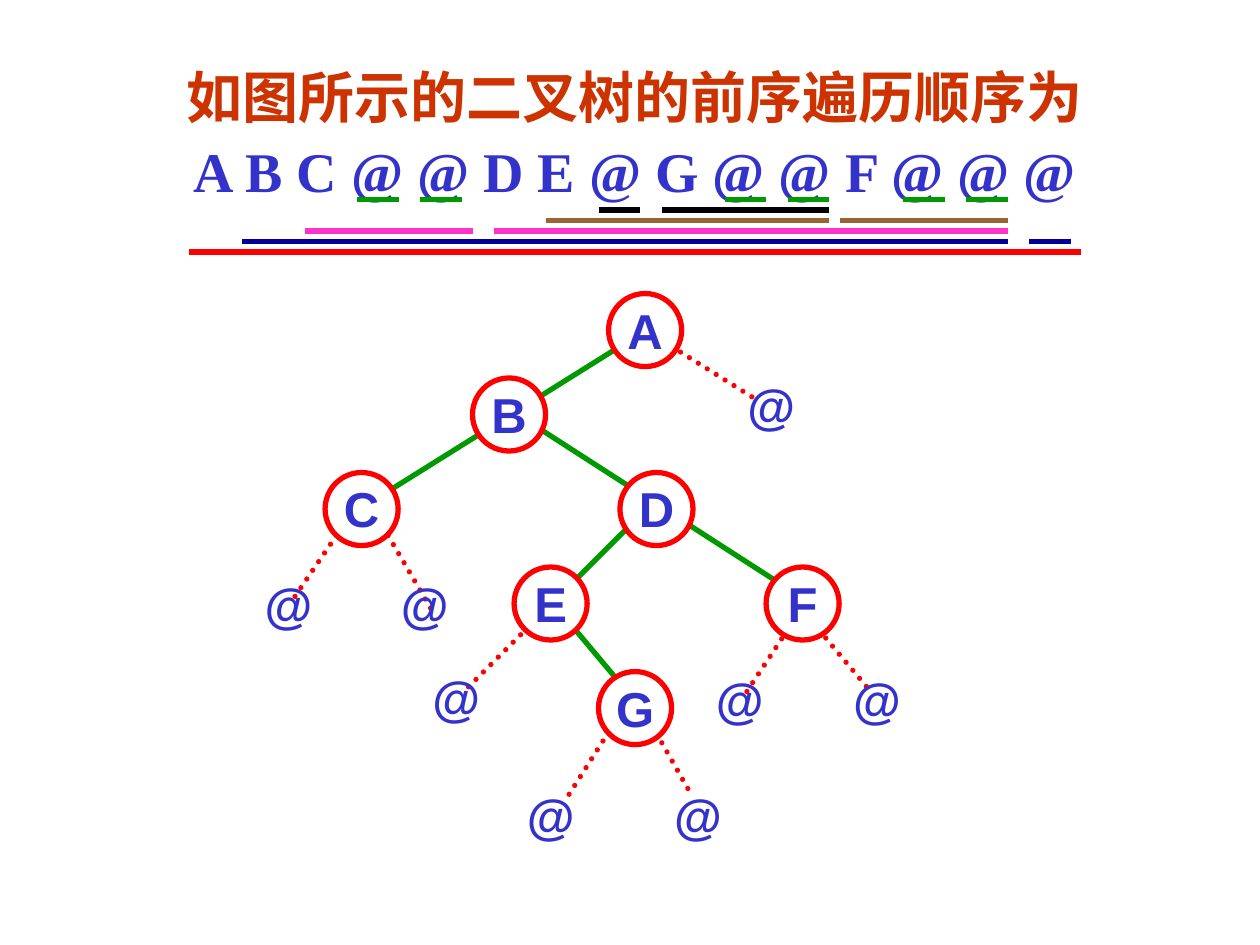
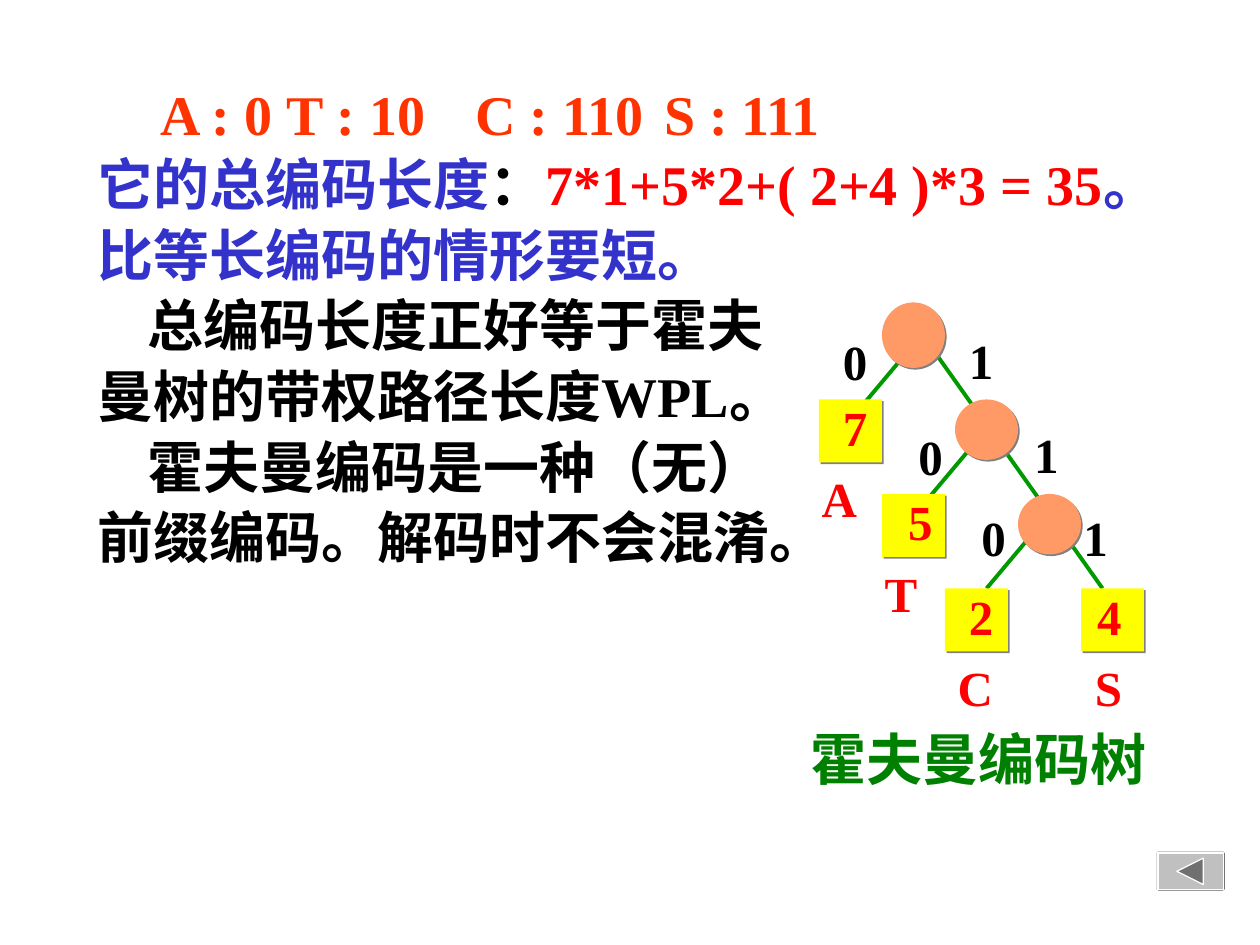
from lxml import etree
from pptx import Presentation
from pptx.dml.color import RGBColor
from pptx.enum.dml import MSO_LINE
from pptx.enum.shapes import MSO_CONNECTOR, MSO_SHAPE
from pptx.enum.text import MSO_ANCHOR, MSO_AUTO_SIZE, PP_ALIGN
from pptx.oxml.ns import qn
from pptx.util import Inches, Pt

OVAL, RECT = MSO_SHAPE.OVAL, MSO_SHAPE.RECTANGLE
BEVEL, WEDGE = MSO_SHAPE.BEVEL, MSO_SHAPE.ISOSCELES_TRIANGLE
LEFT, MID = PP_ALIGN.LEFT, PP_ALIGN.CENTER
TOP, CENTER = MSO_ANCHOR.TOP, MSO_ANCHOR.MIDDLE
GROW, DOTS = MSO_AUTO_SIZE.SHAPE_TO_FIT_TEXT, MSO_LINE.ROUND_DOT
STRAIGHT = MSO_CONNECTOR.STRAIGHT


class Theme:
    serif, sans = "Times New Roman", "Arial"
    big, small = 32, 28
    thick, thin, hair = 3, 2.25, 0.75
    blue, red, green, black = "3333CC", "FF0000", "009900", "000000"
    brick, flame, leaf = "CC3300", "FF3300", "008000"
    navy, pink, brown = "000099", "FF33CC", "996633"
    white, peach, gold = "FFFFFF", "FF9966", "FFFF00"
    shade, silver, dark = "808080", "C0C0C0", "707070"


HEAD = [
    [("如图所示的二叉树的前序遍历顺序为", Theme.brick)],
    [("A B C @ @ D E @ G @ @ F @ @ @", Theme.blue)],
]
NODES = {
    "A": (4.83, 2.33), "B": (3.75, 3), "C": (2.58, 3.75), "D": (4.92, 3.75),
    "E": (4.08, 4.5), "F": (6.08, 4.5), "G": (4.75, 5.33),
}
NULLS = [
    (2, 4.51), (3.08, 4.51), (3.33, 5.25), (4.08, 6.18),
    (5.25, 6.18), (5.58, 5.26), (6.67, 5.26), (5.83, 2.93),
]
DOTTED = [
    (4.25, 4.92, 3.67, 5.5), (4.92, 5.67, 4.5, 6.33), (5.17, 5.75, 5.5, 6.33),
    (2.67, 4.25, 2.33, 4.75), (3.08, 4.25, 3.42, 4.83), (6.5, 5, 6.92, 5.5),
    (5.33, 2.75, 6, 3.17), (6.25, 5, 5.92, 5.5),
]
SOLID = [
    (4.5, 4.92, 4.92, 5.42), (5, 4.17, 4.42, 4.75),
    (4.17, 3.33, 6.25, 4.67), (4.92, 2.75, 2.92, 4),
]
SPANS = [
    (Theme.green, [(2.83, 3.17), (3.33, 3.67), (5.75, 6.08),
                   (6.25, 6.58), (7.17, 7.5), (7.67, 8)]),
    (Theme.black, [(4.75, 5.08), (5.25, 6.58)]),
    (Theme.brown, [(4.33, 6.58), (6.67, 8)]),
    (Theme.pink, [(2.42, 3.75), (3.92, 8)]),
    (Theme.navy, [(1.92, 8), (8.17, 8.5)]),
    (Theme.red, [(1.5, 8.58)]),
]

CODES = [("\tA : 0\tT : 10\tC : 110\tS : 111", Theme.flame)]
STOPS = [1.44, 2.79, 4.45, 6.23]
TOTAL = [
    ("它的总编码长度", Theme.blue), ("：", Theme.black),
    ("7*1+5*2+( 2+4 )*3 = 35", Theme.red),
    ("。比等长编码的情形要短。", Theme.blue),
]
NOTES = [
    ("总编码长度正好等于霍夫", 0.4), ("曼树的带权路径长度WPL。", 0),
    ("霍夫曼编码是一种（无）", 0.4), ("前缀编码。解码时不会混淆。", 0),
]
NAME = [[("霍夫曼编码树", Theme.leaf)]]
EDGES = [
    (7.17, 2.83, 6.75, 3.33), (7.75, 3.5, 7.33, 4),
    (8.25, 4.17, 7.83, 4.67), (7.33, 2.67, 8.75, 4.67),
]
FORKS = [(7, 2.4, 0.52), (7.58, 3.17, 0.48), (8.08, 3.92, 0.48)]
BITS = [
    ("0", 6.59, 2.58), ("0", 7.19, 3.33), ("0", 7.69, 3.98),
    ("1", 7.59, 2.57), ("1", 8.11, 3.32), ("1", 8.5, 3.98),
]
LEAVES = [
    ("7", "A", 6.5, 3.17, 6.59, 6.42, 0.48),
    ("5", "T", 7, 3.92, 7.11, 6.92, 0.46),
    ("2", "C", 7.5, 4.67, 7.59, 7.5, 0.48),
    ("4", "S", 8.58, 4.67, 8.61, 8.59, 0.41),
]


def rgb(code):
    return RGBColor.from_string(code)


def put(shape, x, y, w, h):
    shape.left, shape.top = Inches(x), Inches(y)
    shape.width, shape.height = Inches(w), Inches(h)


def write(para, runs, size, font=Theme.serif):
    for text, color in runs:
        run = para.add_run()
        run.text = text
        run.font.name, run.font.size, run.font.bold = font, Pt(size), True
        run.font.color.rgb = rgb(color)


def fit(frame, anchor, wrap=True):
    frame.word_wrap, frame.auto_size = wrap, GROW
    frame.vertical_anchor = anchor


def lines(frame, paras, align, space=1):
    for i, runs in enumerate(paras):
        para = frame.add_paragraph() if i else frame.paragraphs[0]
        para.alignment, para.line_spacing = align, space
        para.space_before = Pt(0)
        write(para, runs, Theme.big)


def label(slide, text, color, x, y, w, font=Theme.serif):
    box = slide.shapes.add_textbox(Inches(x), Inches(y), Inches(w), Inches(0.57))
    fit(box.text_frame, CENTER, False)
    para = box.text_frame.paragraphs[0]
    para.alignment = MID
    write(para, [(text, color)], Theme.small, font)


def stroke(slide, ends, color, width, dash=None):
    line = slide.shapes.add_connector(STRAIGHT, *map(Inches, ends))
    line.line.color.rgb, line.line.width = rgb(color), Pt(width)
    if dash:
        line.line.dash_style = dash
        line.line._get_or_add_ln().set("cap", "rnd")
    etree.SubElement(line._element.spPr, qn("a:effectLst"))


def draw(slide, kind, x, y, w, h, fill, edge=None, width=Theme.thick):
    shape = slide.shapes.add_shape(kind, *map(Inches, (x, y, w, h)))
    shape.fill.solid()
    shape.fill.fore_color.rgb = rgb(fill)
    if edge:
        shape.line.color.rgb, shape.line.width = rgb(edge), Pt(width)
    else:
        shape.line.fill.background()
    shape.shadow.inherit = False
    return shape


def shade(shape):
    effect = shape._element.spPr.find(qn("a:effectLst"))
    cast = etree.SubElement(effect, qn("a:outerShdw"), blurRad="0",
                            dist=str(Pt(1.4)), dir="2700000",
                            algn="ctr", rotWithShape="0")
    etree.SubElement(cast, qn("a:srgbClr"), val=Theme.shade)


def plain(para, indent=0, stops=()):
    props = para._p.get_or_add_pPr()
    props.set("marL", "0")
    props.set("indent", str(Inches(indent)))
    etree.SubElement(props, qn("a:buNone"))
    if stops:
        tabs = etree.SubElement(props, qn("a:tabLst"))
        for stop in stops:
            etree.SubElement(tabs, qn("a:tab"), pos=str(Inches(stop)), algn="l")


def order(deck):
    slide = deck.slides.add_slide(deck.slide_layouts[5])
    title = slide.shapes.title
    put(title, 1.08, 0.39, 7.92, 1.28)
    fit(title.text_frame, CENTER)
    lines(title.text_frame, HEAD, MID, 1.1)
    for ends in DOTTED:
        stroke(slide, ends, Theme.red, Theme.thick, DOTS)
    for ends in SOLID:
        stroke(slide, ends, Theme.green, Theme.thick)
    for x, y in NODES.values():
        draw(slide, OVAL, x, y, 0.58, 0.58, Theme.white, Theme.red)
    marks = [(key, x, y) for key, (x, y) in NODES.items()]
    marks += [("@", x, y) for x, y in NULLS]
    for text, x, y in marks:
        label(slide, text, Theme.blue, x, y, 0.58, Theme.sans)
    for row, (color, spans) in enumerate(SPANS):
        y = (19 + row) / 12
        for start, end in spans:
            stroke(slide, (start, y, end, y), color, Theme.thick)


def coding(deck):
    slide = deck.slides.add_slide(deck.slide_layouts[1])
    title, body = slide.placeholders
    put(title, 6.33, 5.7, 2.92, 0.64)
    fit(title.text_frame, TOP)
    lines(title.text_frame, NAME, LEFT)
    put(body, 0.67, 0.58, 8.75, 4)
    frame = body.text_frame
    fit(frame, TOP)
    rows = [(CODES, 0, STOPS), (TOTAL, 0, ())]
    rows += [([(text, Theme.black)], indent, ()) for text, indent in NOTES]
    for i, (runs, indent, stops) in enumerate(rows):
        para = frame.add_paragraph() if i else frame.paragraphs[0]
        plain(para, indent, stops)
        para.space_before = Pt(0)
        para.line_spacing = 1.05 if i else 1
        write(para, runs, Theme.big)
    for ends in EDGES:
        stroke(slide, ends, Theme.green, Theme.thin)
    for x, y, h in FORKS:
        shade(draw(slide, OVAL, x, y, 0.5, h, Theme.peach))
    for bit, x, y in BITS:
        label(slide, bit, Theme.black, x, y, 0.39)
    for weight, key, x, y, left, side, w in LEAVES:
        shade(draw(slide, RECT, x, y, 0.5, 0.5, Theme.gold))
        label(slide, weight, Theme.red, left, y - 0.07, 0.39)
        label(slide, key, Theme.red, side, y + 0.5, w)
    back = draw(slide, BEVEL, 9.17, 6.75, 0.56, 0.33,
                Theme.silver, Theme.white, Theme.hair)
    back.adjustments[0] = 0.06
    arrow = draw(slide, WEDGE, 9.34, 6.81, 0.21, 0.21,
                 Theme.dark, Theme.white, Theme.hair)
    arrow.rotation = 270


def main():
    deck = Presentation()
    deck.slide_width, deck.slide_height = Inches(10), Inches(7.5)
    order(deck)
    coding(deck)
    deck.save("out.pptx")


if __name__ == "__main__":
    main()
